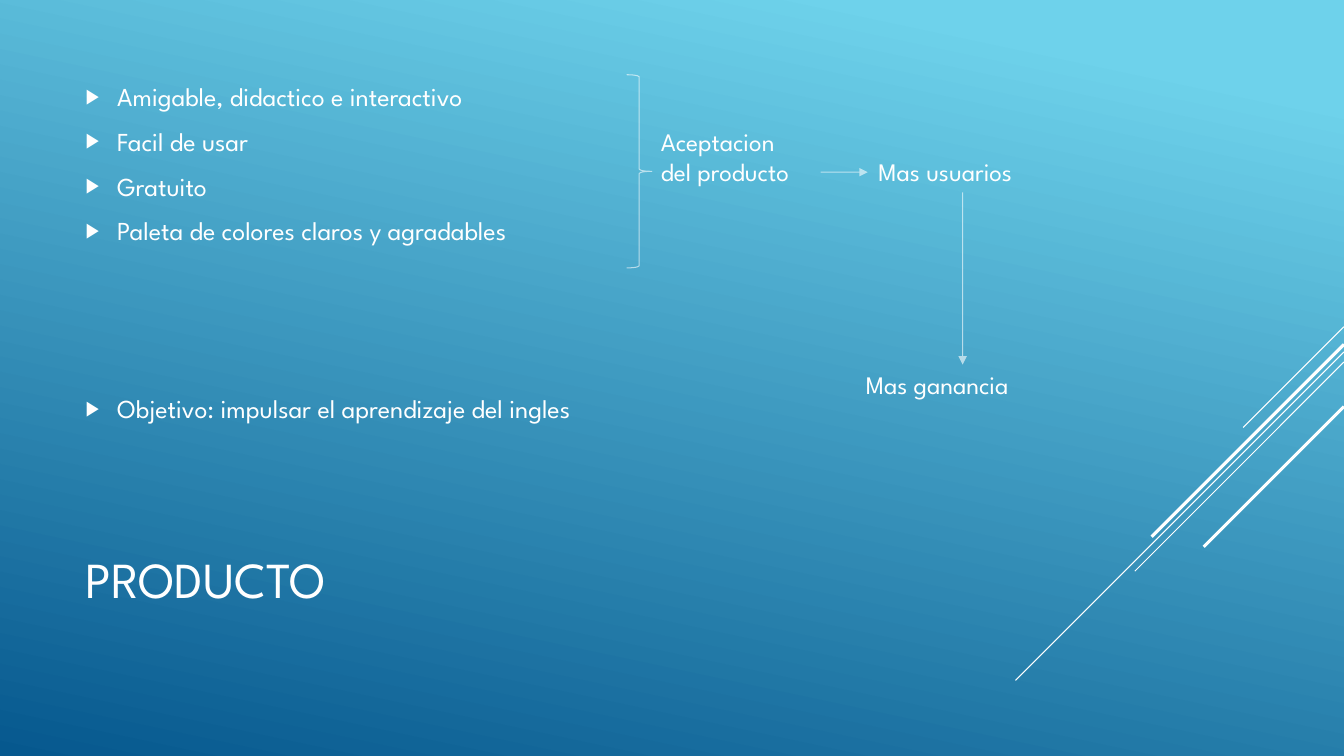
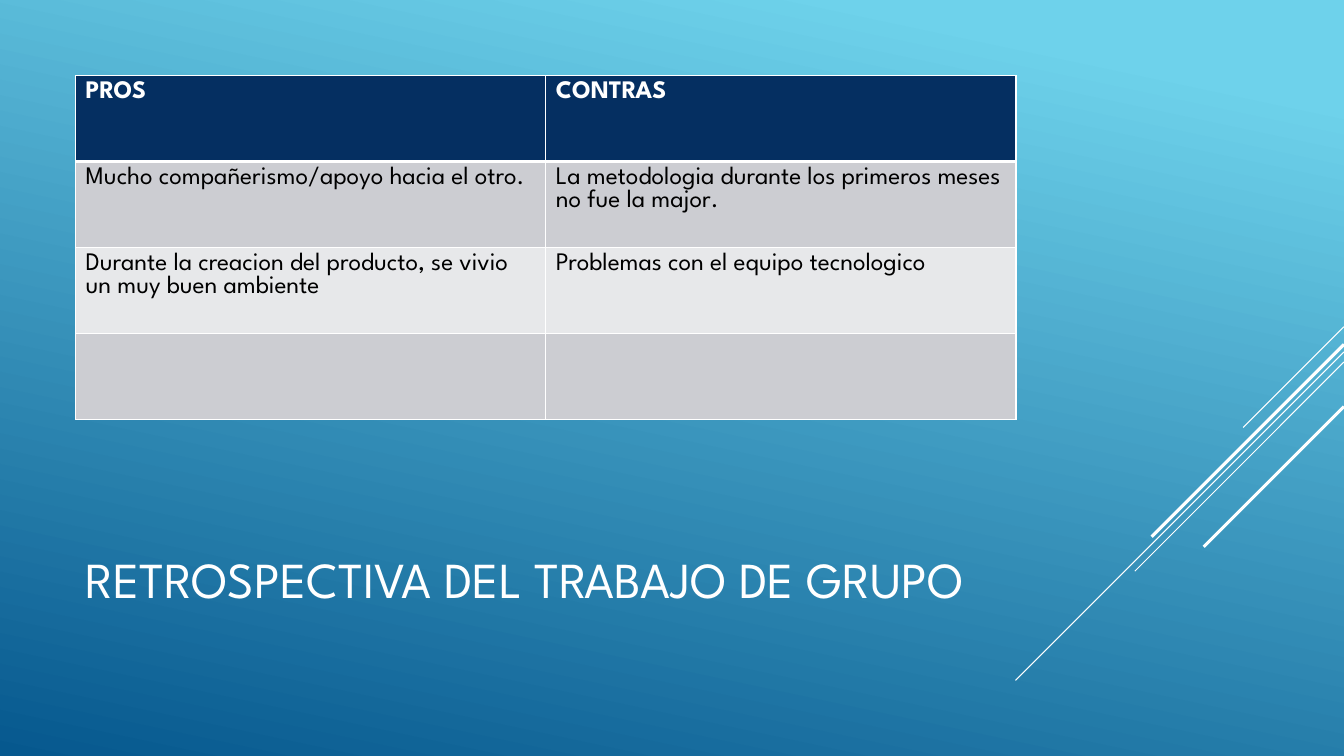
import pptx
import pptx.util
import pptx.dml.color
import pptx.enum.shapes
import pptx.enum.text
import pptx.oxml
import pptx.oxml.ns

FONT = "League Spartan"
WHITE, BLACK, NAVY = "FFFFFF", "000000", "052F61"
GREY, PALE = "CCCDD2", "E7E8EA"
SKY, DEEP = "6ED2EB", "06588E"
NAMESPACE = pptx.oxml.ns.nsdecls("a")

# The slide is a grid of 160 columns by 90 rows of square cells
presentation = pptx.Presentation()
presentation.slide_width = pptx.util.Emu(12192000)
presentation.slide_height = pptx.util.Emu(6858000)
CELL = presentation.slide_width // 160
MARGIN, CONTENT_WIDTH = 9, 111.96


def color(hex_text):
    return pptx.dml.color.RGBColor.from_string(hex_text)


def style(paragraph, size, hex_text=WHITE, bold=False):
    paragraph.alignment = pptx.enum.text.PP_ALIGN.LEFT
    paragraph.font.name = FONT
    paragraph.font.size = pptx.util.Pt(size)
    paragraph.font.bold = bold
    paragraph.font.color.rgb = color(hex_text)


# Shared background on the master
master = presentation.slide_master
background = master.background.fill
background.gradient()
background.gradient_angle = 360 - 102
for stop, (hex_text, position) in zip(background.gradient_stops, [(SKY, 0.1), (DEEP, 1)]):
    stop.color.rgb = color(hex_text)
    stop.position = position

# Two slides with the same title style
product_slide = presentation.slides.add_slide(presentation.slide_layouts[1])
review_slide = presentation.slides.add_slide(presentation.slide_layouts[5])
for slide, heading in [(product_slide, "PRODUCTO"),
                       (review_slide, "RETROSPECTIVA DEL TRABAJO DE GRUPO")]:
    title = slide.shapes.title
    title.left, title.top, title.width, title.height = (
        round(cells * CELL) for cells in (MARGIN, 58.9, CONTENT_WIDTH, 19.8))
    title.text_frame.text = heading
    title.text_frame.auto_size = pptx.enum.text.MSO_AUTO_SIZE.NONE
    title.text_frame.vertical_anchor = pptx.enum.text.MSO_ANCHOR.MIDDLE
    style(title.text_frame.paragraphs[0], 36)

# Diagonal lines (start row, extent, weight) and arrows
diagonals = [((160, row), (160 - extent, row + extent), weight)
             for row, extent, weight in [(38.9, 12, 0.75), (41.9, 39.1, 0.75), (43.1, 24.9, 0.75),
                                         (41, 22.9, 2.25), (48.4, 16.7, 2.25)]]
arrows = [((114.6, 22.9), (114.6, 43.4), 0.75), ((97.7, 20.5), (103.3, 20.5), 0.75)]
translucent = []
for start, end, weight in diagonals + arrows:
    line = product_slide.shapes.add_connector(
        pptx.enum.shapes.MSO_CONNECTOR.STRAIGHT,
        *(round(cells * CELL) for cells in start + end))
    line.line.width = pptx.util.Pt(weight)
    line.line.color.rgb = color(WHITE)
    properties = line.element.spPr
    properties.append(pptx.oxml.parse_xml(f"<a:effectLst {NAMESPACE}/>"))
    if (start, end, weight) in arrows:
        properties.ln.append(pptx.oxml.parse_xml(f'<a:tailEnd {NAMESPACE} type="triangle"/>'))
        translucent.append(line)
    else:
        master.shapes.element.append(line.element)

# Brace joining the features
brace = product_slide.shapes.add_shape(
    pptx.enum.shapes.MSO_SHAPE.RIGHT_BRACE,
    *(round(cells * CELL) for cells in (74.6, 8.9, 3, 23)))
brace.shadow.inherit = False
brace.fill.background()
brace.line.color.rgb = color(WHITE)
brace.line.width = pptx.util.Pt(0.75)
for shape in translucent + [brace]:
    for line_color in shape.element.spPr.ln.iter(pptx.oxml.ns.qn("a:srgbClr")):
        line_color.append(pptx.oxml.parse_xml(f'<a:alpha {NAMESPACE} val="60000"/>'))

# Feature list, with the objective set apart below
body = product_slide.placeholders[1]
body.left, body.top, body.width, body.height = (
    round(cells * CELL) for cells in (MARGIN, MARGIN, CONTENT_WIDTH, 47.4))
frame = body.text_frame
frame.text = "\n".join(["Amigable, didactico e interactivo", "Facil de usar", "Gratuito",
                        "Paleta de colores claros y agradables",
                        "Objetivo: impulsar el aprendizaje del ingles"])
frame.auto_size = pptx.enum.text.MSO_AUTO_SIZE.NONE
frame.vertical_anchor = pptx.enum.text.MSO_ANCHOR.TOP
for paragraph in frame.paragraphs:
    properties = paragraph._p.get_or_add_pPr()
    properties.set("marL", "285750")
    properties.set("indent", "-285750")
    for bullet in (f'<a:buClr {NAMESPACE}><a:srgbClr val="{WHITE}"/></a:buClr>',
                   f'<a:buSzPct {NAMESPACE} val="80000"/>',
                   f'<a:buChar {NAMESPACE} char="▶"/>'):
        properties.append(pptx.oxml.parse_xml(bullet))
    style(paragraph, 18.5)
    paragraph.space_before = pptx.util.Pt(3.7)
    paragraph.space_after = pptx.util.Pt(6)
frame.paragraphs[-1].space_before = pptx.util.Pt(99)

# Outcomes
for words, box in [("Mas usuarios", (103.4, 18, 22.3, 4.8)),
                   ("Mas ganancia", (101.9, 43.4, 25.4, 4.8)),
                   ("Aceptacion\ndel producto", (77.5, 14.4, 20.2, 12.1))]:
    outcome = product_slide.shapes.add_textbox(*(round(cells * CELL) for cells in box))
    outcome.text_frame.word_wrap = True
    outcome.text_frame.text = words
    for paragraph in outcome.text_frame.paragraphs:
        style(paragraph, 18)

# Table of pros and cons
rows = [("PROS", "CONTRAS"),
        ("Mucho compañerismo/apoyo hacia el otro.",
         "La metodologia durante los primeros meses no fue la major."),
        ("Durante la creacion del producto, se vivio un muy buen ambiente",
         "Problemas con el equipo tecnologico"),
        ("", "")]
row_fills = [NAVY, GREY, PALE, GREY]
table = review_slide.shapes.add_table(
    len(rows), 2, *(round(cells * CELL) for cells in (MARGIN, MARGIN, CONTENT_WIDTH, 40.96))).table
for row_index, texts in enumerate(rows):
    header = row_index == 0
    for column_index, words in enumerate(texts):
        cell = table.cell(row_index, column_index)
        cell.text = words
        paragraph = cell.text_frame.paragraphs[0]
        style(paragraph, 18, WHITE if header else BLACK, header)
        paragraph.line_spacing = 1.0
        properties = cell._tc.get_or_add_tcPr()
        for side in "LRTB":
            thick = (header and side == "B") or (row_index == 1 and side == "T")
            width = pptx.util.Pt(3 if thick else 1)
            properties.append(pptx.oxml.parse_xml(
                f'<a:ln{side} {NAMESPACE} w="{width}"><a:solidFill>'
                f'<a:srgbClr val="{WHITE}"/></a:solidFill></a:ln{side}>'))
        cell.fill.solid()
        cell.fill.fore_color.rgb = color(row_fills[row_index])

presentation.save("out.pptx")
